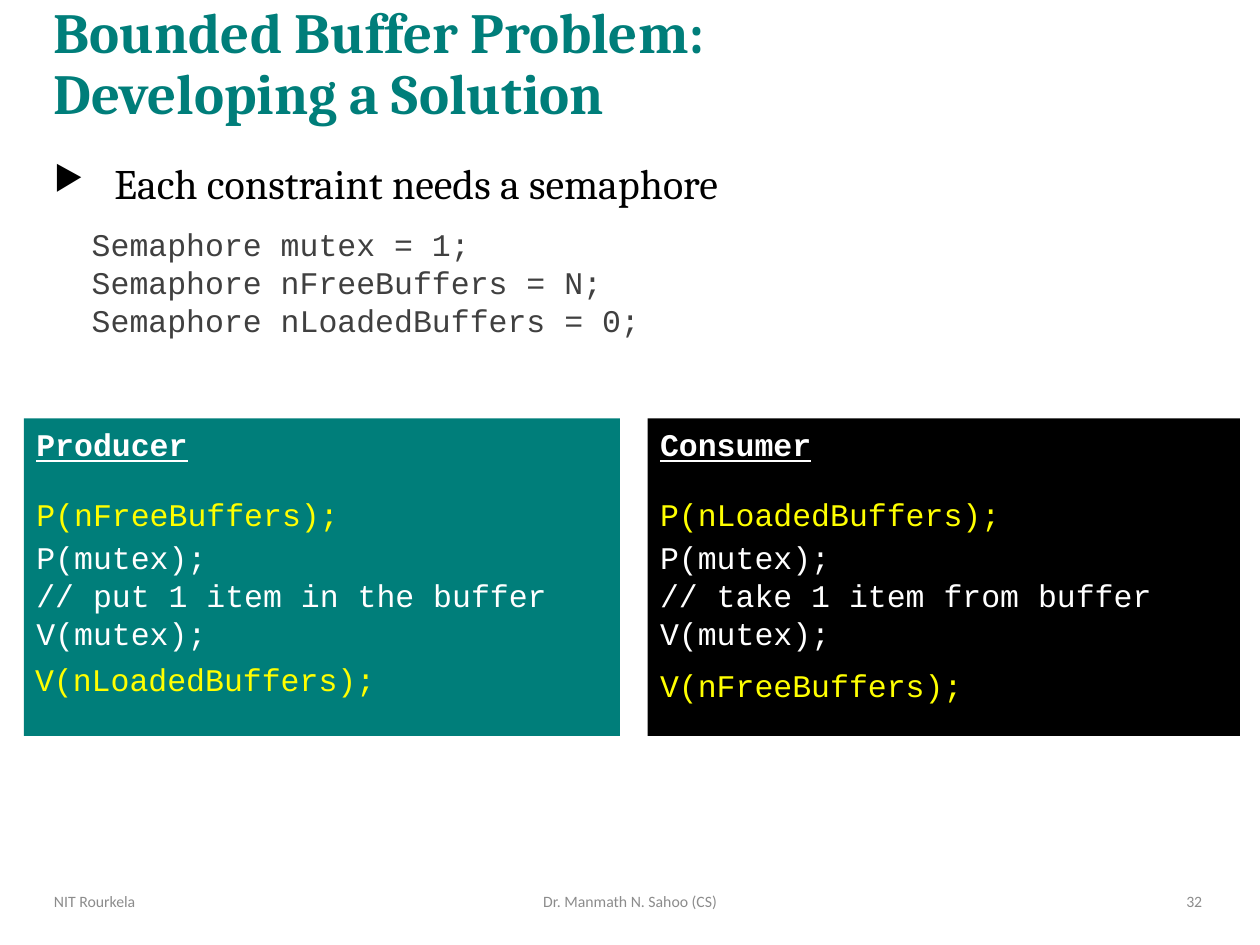
from dataclasses import dataclass, field

from lxml.etree import SubElement
from pptx import Presentation
from pptx.dml.color import RGBColor
from pptx.enum.shapes import MSO_SHAPE as Shape
from pptx.enum.text import MSO_ANCHOR as Anchor, PP_ALIGN as Align
from pptx.oxml.ns import qn
from pptx.util import Inches, Pt

COLORS = {
    "teal": "007E7A", "black": "000000", "white": "FFFFFF",
    "yellow": "FFFF00", "code": "404040", "footer": "8C8C8C",
}


@dataclass
class Style:
    font: str
    size: float
    color: str
    bold: bool = False
    underline: bool = False


@dataclass
class Line:
    text: str
    style: Style
    fmt: dict = field(default_factory=dict)
    margin: float = 0
    bullet: str = ""


@dataclass
class Panel:
    left: float
    width: float
    fill: str
    name: str
    action: str
    wait: str
    signal: str
    signal_left: float
    signal_top: float


TITLE = Style("Cambria", 32.4, "teal", bold=True)
POINT = Style("Cambria", 24, "black")
CODE = Style("Courier New", 18, "code")
HEADING = Style("Courier New", 18, "white", bold=True, underline=True)
STEP = Style("Courier New", 18, "white")
SEMAPHORE = Style("Courier New", 18, "yellow")
FOOTER = Style("Calibri", 9, "footer")

PANEL_TOP, PANEL_HEIGHT, WAIT_TOP = 3.32, 2.52, 3.88
PANELS = [
    Panel(0.19, 4.73, "teal", "Producer", "// put 1 item in the buffer",
          "P(nFreeBuffers);", "V(nLoadedBuffers);", 0.18, 5.19),
    Panel(5.14, 4.7, "black", "Consumer", "// take 1 item from buffer",
          "P(nLoadedBuffers);", "V(nFreeBuffers);", 5.14, 5.24),
]


def rgb(name: str) -> RGBColor:
    return RGBColor.from_string(COLORS[name])


def write(tf, lines: list[Line]) -> None:
    for i, line in enumerate(lines):
        p = tf.paragraphs[0] if i == 0 else tf.add_paragraph()
        for key, value in ({"alignment": Align.LEFT} | line.fmt).items():
            setattr(p, key, value)
        pPr = p._p.get_or_add_pPr()
        if line.margin:
            pPr.set("marL", str(Inches(line.margin)))
        if line.bullet:
            pPr.set("indent", str(-Inches(line.margin)))
            SubElement(pPr, qn("a:buSzPct")).set("val", "80000")
            SubElement(pPr, qn("a:buChar")).set("char", line.bullet)
        p.text = line.text
        st = line.style
        for r in p.runs:
            for key, value in {"name": st.font, "size": Pt(st.size), "bold": st.bold,
                               "underline": st.underline}.items():
                setattr(r.font, key, value)
            r.font.color.rgb = rgb(st.color)


def add_text(s, left: float, top: float, width: float, height: float,
             lines: list[Line], anchor=Anchor.TOP, wrap: bool = True) -> None:
    tf = s.shapes.add_textbox(Inches(left), Inches(top),
                              Inches(width), Inches(height)).text_frame
    tf.word_wrap = wrap
    tf.vertical_anchor = anchor
    write(tf, lines)


def add_panel(s, panel: Panel) -> None:
    sp = s.shapes.add_shape(Shape.RECTANGLE, Inches(panel.left), Inches(PANEL_TOP),
                            Inches(panel.width), Inches(PANEL_HEIGHT))
    sp.shadow.inherit = False
    sp.fill.solid()
    sp.fill.fore_color.rgb = rgb(panel.fill)
    sp.line.fill.background()
    sp.text_frame.word_wrap = True
    sp.text_frame.vertical_anchor = Anchor.TOP
    # The gap under the heading leaves room for the wait call
    write(sp.text_frame, [
        Line(panel.name, HEADING),
        Line("P(mutex);", STEP, {"space_before": Pt(43.5)}),
        Line(panel.action, STEP),
        Line("V(mutex);", STEP),
    ])
    for text, left, top in ((panel.wait, panel.left, WAIT_TOP),
                            (panel.signal, panel.signal_left, panel.signal_top)):
        width = 0.2 + 0.15 * len(text)
        add_text(s, left, top, width, 0.4, [Line(text, SEMAPHORE)], wrap=False)


def main() -> None:
    prs = Presentation()
    prs.slide_width, prs.slide_height = Inches(10), Inches(7.5)
    s = prs.slides.add_slide(prs.slide_layouts[6])

    # Title
    add_text(s, 0.33, 0.04, 9.3, 0.96, [
        Line("Bounded Buffer Problem:\vDeveloping a Solution", TITLE, {"line_spacing": 0.9}),
    ], Anchor.MIDDLE)

    # Constraint and semaphore declarations
    point_fmt = {"alignment": Align.JUSTIFY, "line_spacing": 1.2, "space_after": Pt(10)}
    declarations = ["mutex = 1;", "nFreeBuffers = N;", "nLoadedBuffers = 0;"]
    add_text(s, 0.33, 1.12, 9.3, 1.66, [
        Line("Each constraint needs a semaphore", POINT, point_fmt, 0.48, "▶"),
        *(Line(f"Semaphore {d}", CODE, {"alignment": Align.JUSTIFY}, 0.3)
          for d in declarations),
    ])

    # Producer and consumer
    for panel in PANELS:
        add_panel(s, panel)

    # Footer
    for text, left, width, align in (
        ("NIT Rourkela", 0.33, 2.6, Align.LEFT),
        ("Dr. Manmath N. Sahoo (CS)", 3.31, 3.38, Align.CENTER),
        ("32", 7.27, 2.37, Align.RIGHT),
    ):
        add_text(s, left, 6.95, width, 0.4, [Line(text, FOOTER, {"alignment": align})],
                 Anchor.MIDDLE)

    prs.save("out.pptx")


if __name__ == "__main__":
    main()
